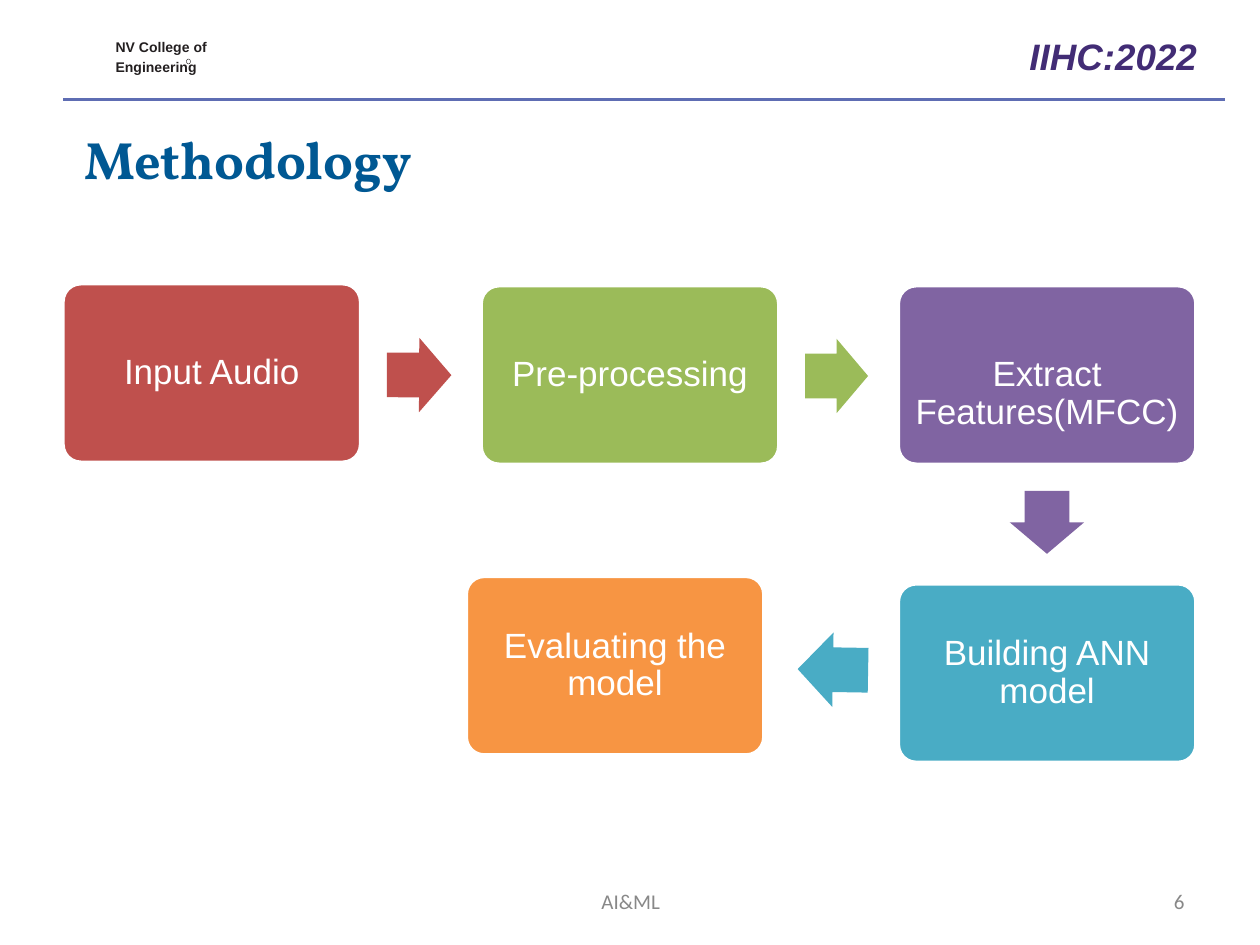
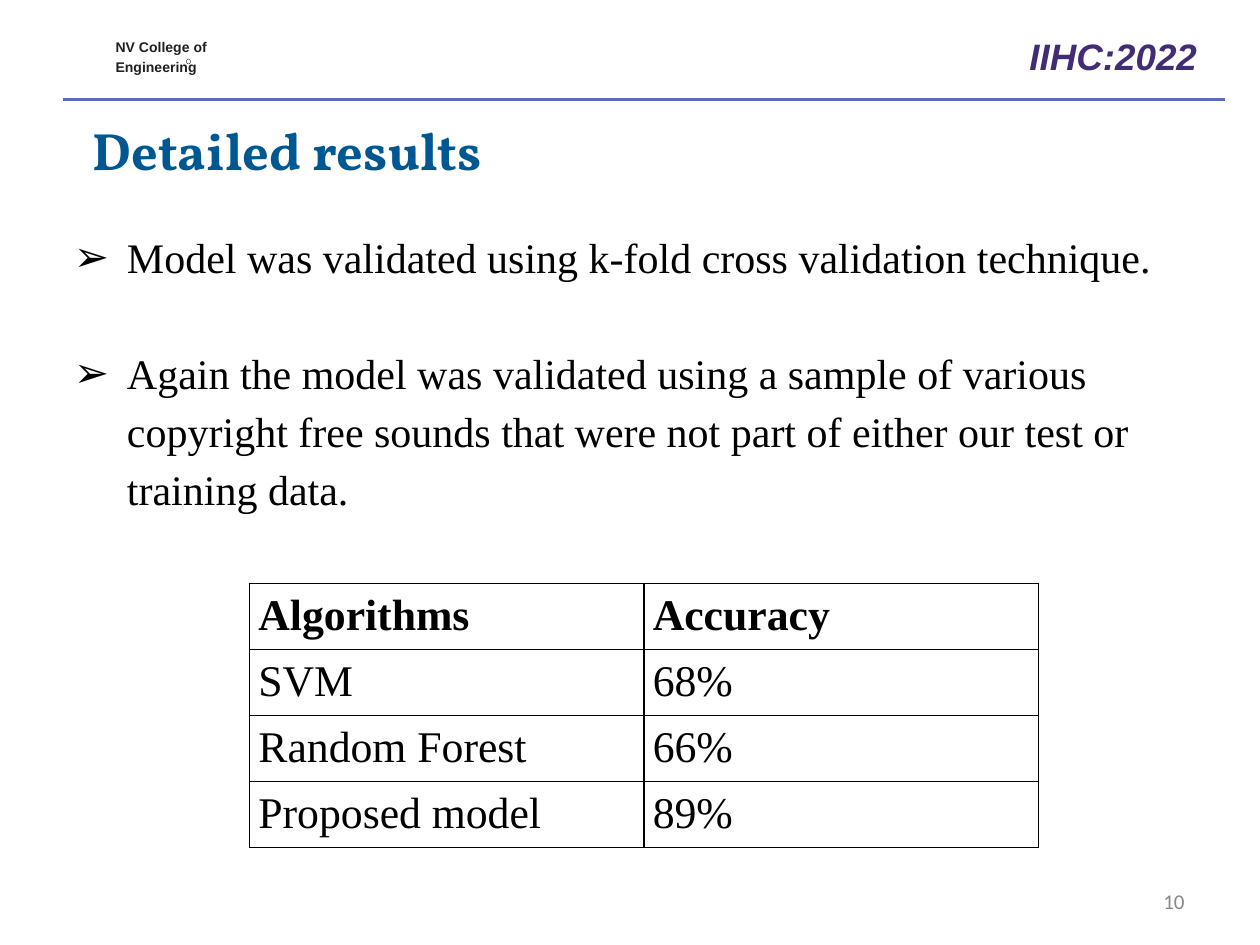
from lxml.etree import SubElement
from pptx import Presentation
from pptx.dml.color import RGBColor
from pptx.enum.shapes import MSO_CONNECTOR, MSO_SHAPE
from pptx.enum.text import MSO_ANCHOR, MSO_AUTO_SIZE, PP_ALIGN
from pptx.oxml import parse_xml
from pptx.oxml.ns import nsdecls, qn
from pptx.util import Cm, Pt

WHITE = RGBColor(0xFF, 0xFF, 0xFF)
BLACK = RGBColor(0x00, 0x00, 0x00)
INK = RGBColor(0x23, 0x1F, 0x20)
GREY = RGBColor(0x88, 0x88, 0x88)
RULE_BLUE = RGBColor(0x5E, 0x6D, 0xB3)
TITLE_BLUE = RGBColor(0x00, 0x58, 0x93)
EVENT_PURPLE = RGBColor(0x42, 0x2C, 0x75)
RED = RGBColor(0xBF, 0x50, 0x4D)
GREEN = RGBColor(0x9B, 0xBB, 0x59)
PURPLE = RGBColor(0x80, 0x64, 0xA2)
TEAL = RGBColor(0x49, 0xAC, 0xC5)
ORANGE = RGBColor(0xF7, 0x95, 0x43)

TITLE_ONLY, TITLE_AND_CONTENT = 5, 1


def write_text(holder, text, font, size, colour, bold=False, italic=False,
               align=PP_ALIGN.LEFT, anchor=MSO_ANCHOR.TOP, margin=0, spacing=1.0):
    """Fill a shape, text box or placeholder with evenly formatted text."""
    frame = holder.text_frame
    frame.text = text
    frame.word_wrap = True
    frame.auto_size = MSO_AUTO_SIZE.NONE
    frame.vertical_anchor = anchor
    frame.margin_left = frame.margin_right = Cm(margin)
    frame.margin_top = frame.margin_bottom = Cm(margin)
    for para in frame.paragraphs:
        para.alignment = align
        para.line_spacing = spacing
        para.space_before = Pt(0)
        for span in para.runs:
            span.font.name = font
            span.font.size = Pt(size)
            span.font.bold = bold
            span.font.italic = italic
            span.font.color.rgb = colour


def add_page(layout, title, left, top, number):
    """Add a slide with the shared header, its title and its number."""
    page = deck.slides.add_slide(deck.slide_layouts[layout])
    rule = page.shapes.add_connector(
        MSO_CONNECTOR.STRAIGHT, Cm(1.27), Cm(2), Cm(24.69), Cm(2))
    rule.line.color.rgb = RULE_BLUE
    rule.line.width = Pt(1.75)
    SubElement(rule._element.spPr, qn("a:effectLst"))

    mark = page.shapes.add_shape(
        MSO_SHAPE.OVAL, Cm(3.76), Cm(1.19), Cm(0.08), Cm(0.1))
    mark.shadow.inherit = False
    mark.fill.background()
    mark.line.color.rgb = INK
    mark.line.width = Pt(0.25)

    college = page.shapes.add_textbox(Cm(2.31), Cm(0.74), Cm(2.57), Cm(0.84))
    write_text(college, "NV College of\nEngineering", "Arial", 8, INK,
               bold=True, margin=0.02, spacing=1.06)
    college.text_frame.paragraphs[1].space_before = Pt(1)

    event = page.shapes.add_textbox(Cm(18.59), Cm(0.69), Cm(5.54), Cm(1.02))
    write_text(event, "IIHC:2022", "Arial", 21, EVENT_PURPLE,
               bold=True, italic=True, align=PP_ALIGN.RIGHT)

    heading = page.shapes.title
    heading.left, heading.top = Cm(left), Cm(top)
    heading.width, heading.height = Cm(15.44), Cm(1.91)
    write_text(heading, title, "Vollkorn", 30, TITLE_BLUE, bold=True, margin=0.02)

    page_number = page.shapes.add_textbox(Cm(18.21), Cm(17.65), Cm(5.92), Cm(1.02))
    write_text(page_number, number, "Calibri", 12, GREY, margin=0.25,
               align=PP_ALIGN.RIGHT, anchor=MSO_ANCHOR.MIDDLE)
    return page


deck = Presentation()
deck.slide_width, deck.slide_height = Cm(25.4), Cm(19.05)

# Methodology: five steps joined by block arrows
page = add_page(TITLE_ONLY, "Methodology", 1.68, 2.54, "6")
footer = page.shapes.add_textbox(Cm(8.69), Cm(17.65), Cm(8.05), Cm(1.02))
write_text(footer, "AI&ML", "Calibri", 12, GREY, margin=0.25,
           align=PP_ALIGN.CENTER, anchor=MSO_ANCHOR.MIDDLE)

steps = [
    ("Input Audio", RED, 1.27, 5.72),
    ("Pre-processing", GREEN, 9.7, 5.76),
    ("Extract Features(MFCC)", PURPLE, 18.11, 5.76),
    ("Building ANN model", TEAL, 18.11, 11.77),
    ("Evaluating the model", ORANGE, 9.4, 11.62),
]
for label, colour, left, top in steps:
    box = page.shapes.add_shape(
        MSO_SHAPE.ROUNDED_RECTANGLE, Cm(left), Cm(top), Cm(6), Cm(3.6))
    box.adjustments[0] = 0.1
    box.shadow.inherit = False
    box.fill.solid()
    box.fill.fore_color.rgb = colour
    box.line.color.rgb = WHITE
    box.line.width = Pt(2)
    write_text(box, label, "Arial", 20, WHITE, align=PP_ALIGN.CENTER,
               anchor=MSO_ANCHOR.MIDDLE, margin=0.2, spacing=0.9)
    if colour == PURPLE:
        box.text_frame.margin_top = Cm(0.97)

arrows = [
    (RED, 7.8, 6.81, 1.3, 0.3),
    (GREEN, 16.23, 6.83, 1.27, 0),
    (PURPLE, 20.47, 9.78, 1.27, 90),
    (TEAL, 16.08, 12.75, 1.42, 181),
]
for colour, left, top, length, angle in arrows:
    arrow = page.shapes.add_shape(
        MSO_SHAPE.RIGHT_ARROW, Cm(left), Cm(top), Cm(length), Cm(1.5))
    arrow.adjustments[0], arrow.adjustments[1] = 0.6, 0.5
    arrow.rotation = angle
    arrow.shadow.inherit = False
    arrow.fill.solid()
    arrow.fill.fore_color.rgb = colour
    arrow.line.fill.background()

# Detailed results: validation notes and accuracy table
page = add_page(TITLE_AND_CONTENT, "Detailed results", 1.85, 2.36, "10")
notes = page.placeholders[1]
notes.left, notes.top, notes.width, notes.height = Cm(1.27), Cm(4.5), Cm(22.17), Cm(7)
write_text(
    notes,
    "Model was validated using k-fold cross validation technique.\n"
    "Again the model was validated using a sample of various copyright free "
    "sounds that were not part of either our test or training data.",
    "Times New Roman", 24, BLACK, margin=0.02, spacing=1.15)
notes.text_frame.paragraphs[1].space_before = Pt(33)
for para in notes.text_frame.paragraphs:
    properties = para._p.get_or_add_pPr()
    properties.set("marL", str(Cm(1.27)))
    properties.set("indent", str(Cm(-1.07)))
    bullet_colour = SubElement(properties, qn("a:buClr"))
    SubElement(bullet_colour, qn("a:srgbClr"), val=str(BLACK))
    SubElement(properties, qn("a:buFont"), typeface="Arial")
    SubElement(properties, qn("a:buChar"), char="➢")

results = [
    ("Algorithms", "Accuracy"),
    ("SVM", "68%"),
    ("Random Forest", "66%"),
    ("Proposed model", "89%"),
]
table = page.shapes.add_table(
    len(results), 2, Cm(5.03), Cm(11.76), Cm(15.9), Cm(5.32)).table
for row_index, row in enumerate(results):
    for column_index, value in enumerate(row):
        cell = table.cell(row_index, column_index)
        cell.text = value
        cell.margin_left = cell.margin_right = Cm(0.18)
        cell.margin_top = cell.margin_bottom = Cm(0.16)
        cell.fill.background()
        font = cell.text_frame.paragraphs[0].runs[0].font
        font.name = "Times New Roman"
        font.size = Pt(25)
        font.bold = row_index == 0
        font.color.rgb = BLACK
        cell_properties = cell._tc.get_or_add_tcPr()
        for position, side in enumerate(("lnL", "lnR", "lnT", "lnB")):
            border = parse_xml(
                f'<a:{side} {nsdecls("a")} w="{Pt(1)}"><a:solidFill>'
                f'<a:srgbClr val="{BLACK}"/></a:solidFill></a:{side}>')
            cell_properties.insert(position, border)

deck.save("out.pptx")
